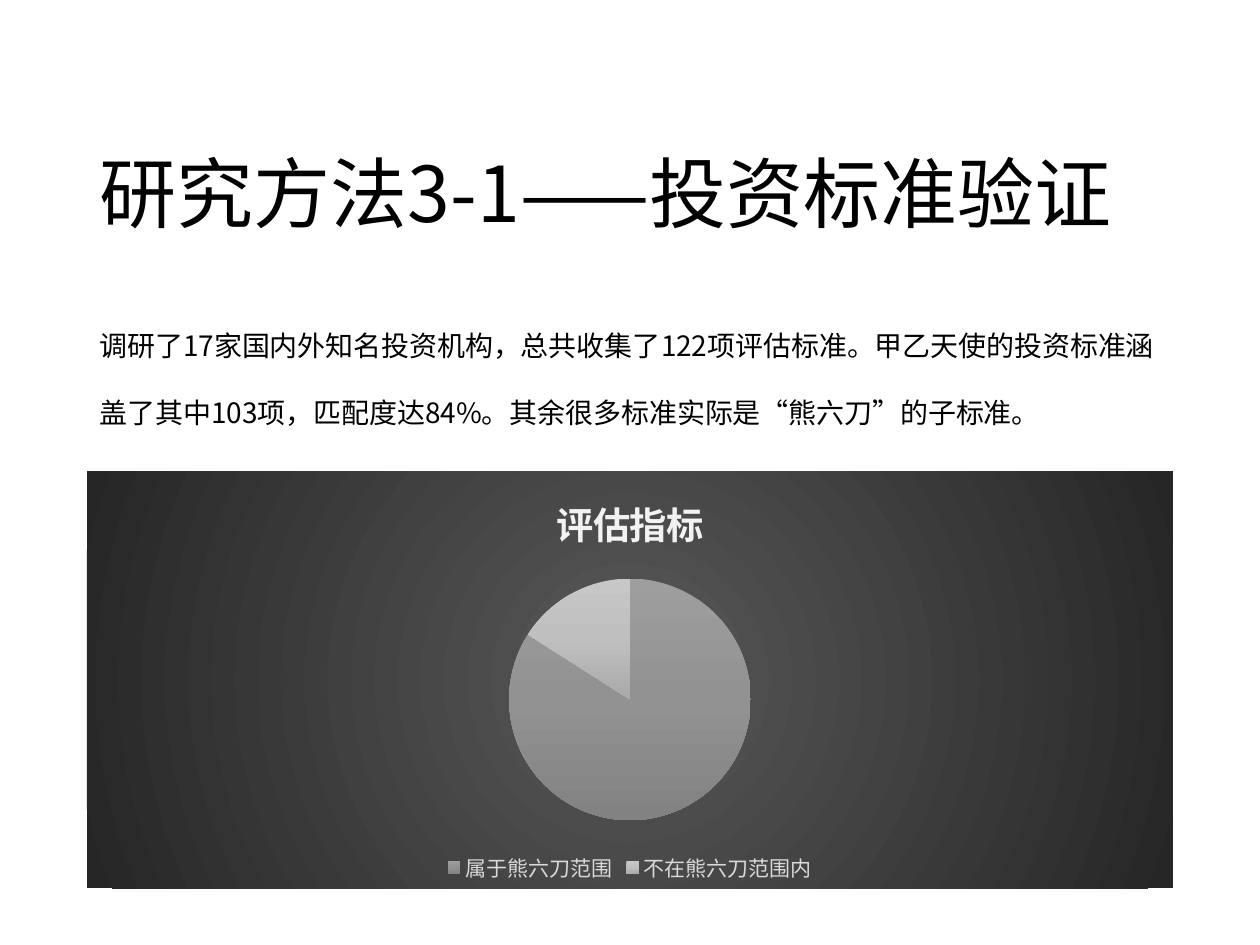
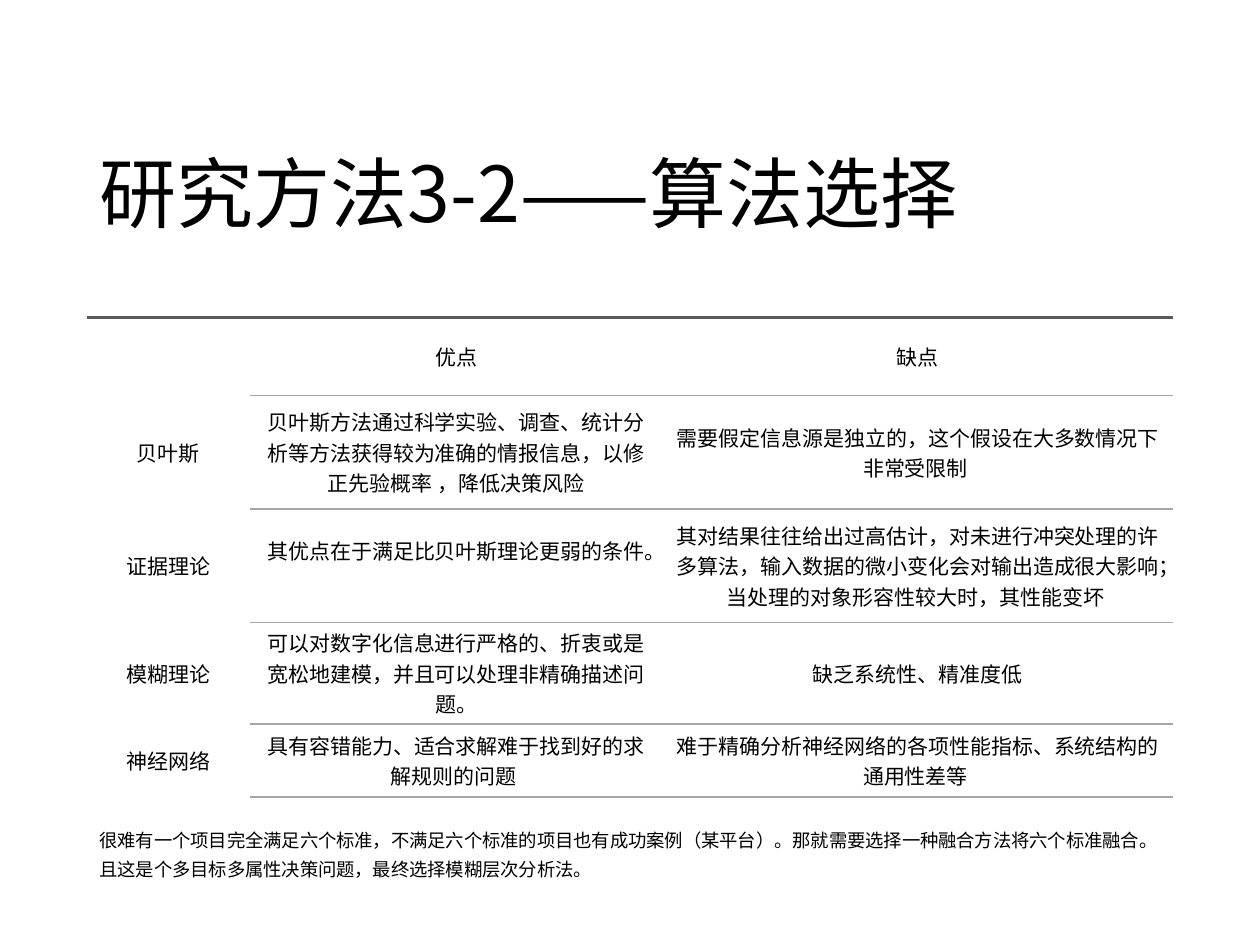
"""Build two research-method slides: a pie chart and an algorithm comparison table."""
from typing import NamedTuple

from lxml.etree import SubElement
from pptx import Presentation
from pptx.chart.data import CategoryChartData
from pptx.dml.color import RGBColor
from pptx.enum.chart import XL_CHART_TYPE as ChartType, XL_LEGEND_POSITION as LegendPosition
from pptx.enum.text import MSO_ANCHOR as Anchor, MSO_AUTO_SIZE as AutoSize, PP_ALIGN as Align
from pptx.oxml import parse_xml
from pptx.oxml.ns import nsdecls, qn
from pptx.util import Pt

CJK = "Noto Sans CJK SC"
LATIN = "Calibri"
BLACK, DARK, RULE = "000000", "595959", "A6A6A6"
LEFT, WIDTH = 49.7, 620.6
TITLE_ONLY = 5


class Style(NamedTuple):
    size: float
    name: str = CJK
    color: str = BLACK
    bold: bool = False


class Note(NamedTuple):
    text: str
    top: float
    height: float
    spacing: float
    style: Style


class Edge(NamedTuple):
    color: str
    width: float


TITLE = Style(44)
SLICES = [
    ("属于熊六刀范围", 84, [(0, "9E9E9E"), (50, "929292"), (100, "828282")]),
    ("不在熊六刀范围内", 16, [(0, "C7C7C7"), (50, "BFBFBF"), (100, "AAAAAA")]),
]
SURVEY = Note(
    "调研了17家国内外知名投资机构，总共收集了122项评估标准。甲乙天使的投资标准"
    "涵盖了其中103项，匹配度达84%。其余很多标准实际是“熊六刀”的子标准。",
    164.9, 79.2, 2, Style(16))
CONCLUSION = Note(
    "很难有一个项目完全满足六个标准，不满足六个标准的项目也有成功案例（某平台）。"
    "那就需要选择一种融合方法将六个标准融合。且这是个多目标多属性决策问题，"
    "最终选择模糊层次分析法。",
    466.6, 40.3, 1.3, Style(10.5))
COLUMN_WIDTHS = [92.9, 236.2, 291.5]
ROW_HEIGHTS = [44.6, 64.8, 64.8, 49.7, 41.8]
ALGORITHMS = [
    ("", "优点", "缺点"),
    ("贝叶斯",
     "贝叶斯方法通过科学实验、调查、统计分析等方法获得较为准确的情报信息，以修正先验概率 ，降低决策风险",
     "需要假定信息源是独立的，这个假设在大多数情况下非常受限制 "),
    ("证据理论",
     "其优点在于满足比贝叶斯理论更弱的条件。 ",
     "其对结果往往给出过高估计，对未进行冲突处理的许多算法，输入数据的微小变化会对输出造成很大影响；"
     "当处理的对象形容性较大时，其性能变坏 "),
    ("模糊理论",
     "可以对数字化信息进行严格的、折衷或是宽松地建模，并且可以处理非精确描述问题。",
     "缺乏系统性、精准度低"),
    ("神经网络",
     "具有容错能力、适合求解难于找到好的求解规则的问题 ",
     "难于精确分析神经网络的各项性能指标、系统结构的通用性差等 "),
]


def set_all(target, **values) -> None:
    for name, value in values.items():
        setattr(target, name, value)


def rgb(color: str) -> RGBColor:
    return RGBColor.from_string(color)


def format_font(font, style: Style) -> None:
    set_all(font, size=Pt(style.size), name=style.name, bold=style.bold)
    font.color.rgb = rgb(style.color)
    SubElement(font._rPr, qn("a:ea"), typeface=CJK)


def write(frame, text: str, style: Style, align=Align.LEFT, spacing: float = 1) -> None:
    para = frame.paragraphs[0]
    set_all(para, alignment=align, line_spacing=spacing)
    span = para.add_run()
    span.text = text
    format_font(span.font, style)


def gradient(stops: list, direction: str):
    marks = "".join(f'<a:gs pos="{place * 1000}"><a:srgbClr val="{color}"/></a:gs>'
                    for place, color in stops)
    return parse_xml(f'<a:gradFill {nsdecls("a")} rotWithShape="1">'
                     f'<a:gsLst>{marks}</a:gsLst>{direction}</a:gradFill>')


def add_page(deck, title: str):
    page = deck.slides.add_slide(deck.slide_layouts[TITLE_ONLY])
    box = page.shapes.title
    set_all(box, left=Pt(LEFT), top=Pt(60.5), width=Pt(WIDTH), height=Pt(104.4))
    set_all(box.text_frame, vertical_anchor=Anchor.MIDDLE, word_wrap=True,
            auto_size=AutoSize.NONE)
    write(box.text_frame, title, TITLE, spacing=0.9)
    return page


def add_note(page, note: Note) -> None:
    box = page.shapes.add_textbox(Pt(LEFT), Pt(note.top), Pt(WIDTH), Pt(note.height))
    set_all(box.text_frame, word_wrap=True, auto_size=AutoSize.SHAPE_TO_FIT_TEXT)
    write(box.text_frame, note.text, note.style, spacing=note.spacing)


def add_coverage_pie(page) -> None:
    data = CategoryChartData()
    data.categories = [name for name, _, _ in SLICES]
    data.add_series("评估指标", [value for _, value, _ in SLICES])
    chart = page.shapes.add_chart(ChartType.PIE, Pt(LEFT), Pt(269.3), Pt(WIDTH), Pt(238.3),
                                  data).chart
    format_font(chart.font, Style(10, LATIN))
    write(chart.chart_title.text_frame, "评估指标",
          Style(21.3, LATIN, "F2F2F2", True), Align.CENTER)
    chart.chart_title.include_text_in_layout = False
    chart.has_legend = True
    set_all(chart.legend, position=LegendPosition.BOTTOM, include_in_layout=False)
    format_font(chart.legend.font, Style(12, LATIN, "D9D9D9"))

    plot = chart.plots[0]
    plot.vary_by_categories = True
    for index, (_, _, stops) in enumerate(SLICES):
        look = plot.series[0].points[index].format
        look.line.fill.background()
        look.fill._xPr.insert(0, gradient(stops, '<a:lin ang="5400000" scaled="0"/>'))

    backdrop = parse_xml(f'<c:spPr {nsdecls("c", "a")}><a:ln><a:noFill/></a:ln></c:spPr>')
    center = '<a:fillToRect l="50000" t="50000" r="50000" b="50000"/>'
    backdrop.insert(0, gradient([(0, DARK), (100, "262626")],
                                f'<a:path path="circle">{center}</a:path>'))
    chart._chartSpace.find(qn("c:txPr")).addprevious(backdrop)


def set_borders(cell, top: Edge | None, bottom: Edge | None) -> None:
    edges = {"lnL": None, "lnR": None, "lnT": top, "lnB": bottom}
    for index, (tag, edge) in enumerate(edges.items()):
        fill = (f'<a:solidFill><a:srgbClr val="{edge.color}"/></a:solidFill>'
                if edge else "<a:noFill/>")
        width = Pt(edge.width) if edge else 0
        line = parse_xml(f'<a:{tag} {nsdecls("a")} w="{width}">{fill}</a:{tag}>')
        cell._tc.get_or_add_tcPr().insert(index, line)


def add_algorithm_table(page) -> None:
    table = page.shapes.add_table(len(ROW_HEIGHTS), len(COLUMN_WIDTHS), Pt(LEFT), Pt(181.4),
                                  Pt(WIDTH), Pt(sum(ROW_HEIGHTS))).table
    set_all(table, first_row=False, horz_banding=False)
    for column, width in zip(table.columns, COLUMN_WIDTHS):
        column.width = Pt(width)
    for row, height in zip(table.rows, ROW_HEIGHTS):
        row.height = Pt(height)
    thin, thick = Edge(RULE, 1), Edge(DARK, 2.25)
    for row_index, texts in enumerate(ALGORITHMS):
        for column_index, text in enumerate(texts):
            cell = table.cell(row_index, column_index)
            set_all(cell, vertical_anchor=Anchor.MIDDLE, margin_left=Pt(5), margin_right=Pt(5),
                    margin_top=Pt(2.9), margin_bottom=Pt(2.9))
            cell.fill.background()
            inner = thin if column_index else None
            set_borders(cell, inner if row_index else thick, inner)
            if text:
                name = CJK if row_index and column_index else LATIN
                write(cell.text_frame, text, Style(12, name), Align.CENTER)


def main() -> None:
    deck = Presentation()
    set_all(deck, slide_width=Pt(720), slide_height=Pt(540))

    page = add_page(deck, "研究方法3-1——投资标准验证")
    add_note(page, SURVEY)
    add_coverage_pie(page)

    page = add_page(deck, "研究方法3-2——算法选择")
    add_algorithm_table(page)
    add_note(page, CONCLUSION)

    deck.save("out.pptx")


if __name__ == "__main__":
    main()
